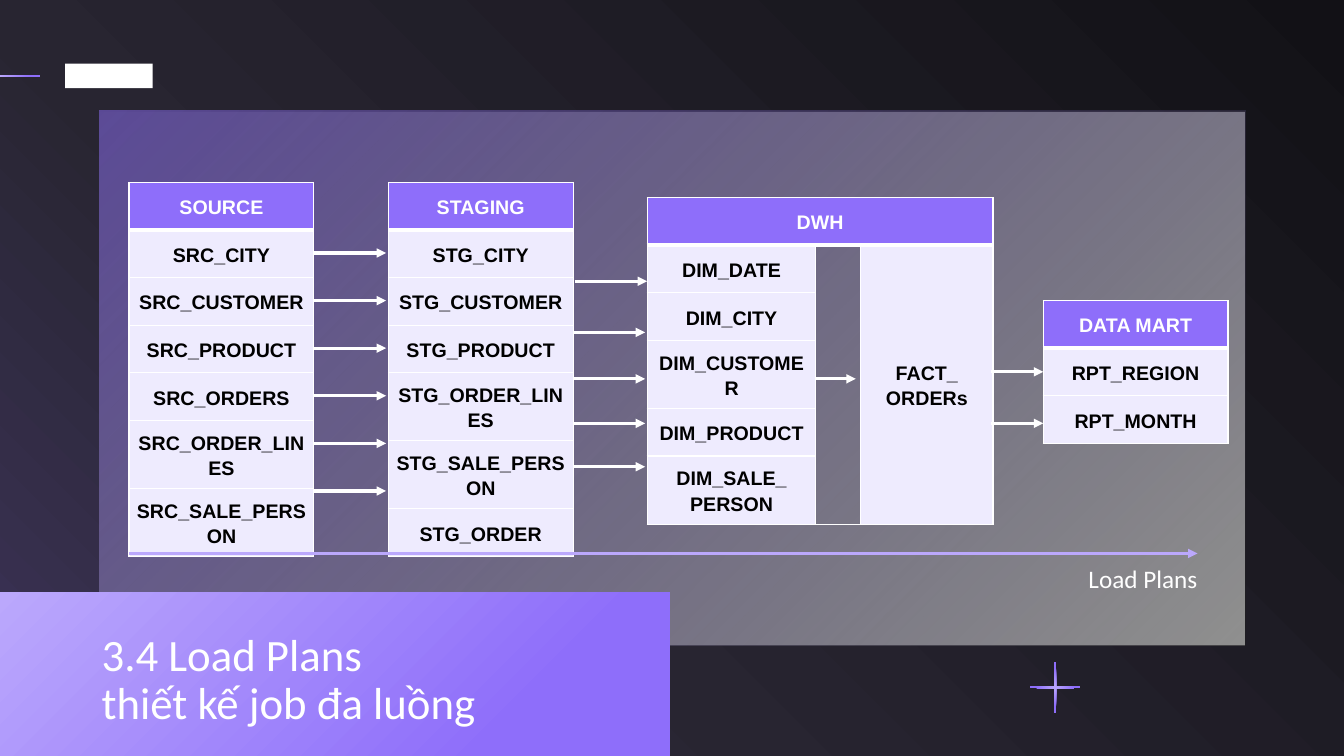
import pptx
import pptx.dml.color
import pptx.enum.shapes
import pptx.enum.text
import pptx.oxml.ns
import pptx.util
from lxml import etree

Pt = pptx.util.Pt
qn = pptx.oxml.ns.qn

COLORS = {
    "white": "FFFFFF", "black": "000000", "purple": "8E6EFA", "lilac": "BBA8FC",
    "pale": "EEEBFE", "violet": "5C4B97", "grey": "202020",
    "night_glow": "3C3359", "night_mid": "282531", "night": "121116",
}
ACCENT = [(0, "lilac", 100), (77, "purple", 100)]
ROW_HEIGHT = 34


def rgb(name):
    return pptx.dml.color.RGBColor.from_string(COLORS[name])


def add(parent, tag, **attributes):
    return etree.SubElement(parent, qn(tag), {k: str(v) for k, v in attributes.items()})


def add_color(parent, name):
    return add(parent, "a:srgbClr", val=COLORS[name])


def set_gradient(owner, fill, stops, angle=0, focus=None):
    """Fill with (position, colour, opacity) stops; focus is l, t, r, b in percent."""
    fill.gradient()
    grad = next(owner.iter(qn("a:gradFill")))
    grad.clear()
    stop_list = add(grad, "a:gsLst")
    for position, name, opacity in stops:
        color = add_color(add(stop_list, "a:gs", pos=position * 1000), name)
        if opacity < 100:
            add(color, "a:alpha", val=opacity * 1000)
    if focus:
        shade = add(grad, "a:path", path="circle")
        add(shade, "a:fillToRect", **{k: v * 1000 for k, v in zip("ltrb", focus)})
    else:
        add(grad, "a:lin", ang=angle * 60000, scaled=0)


class Deck:
    font = "Calibri"
    table_font = "Arial"
    table_size = 14
    arrow_width = 2.25

    def __init__(self):
        self.prs = pptx.Presentation()
        self.prs.slide_width, self.prs.slide_height = Pt(960), Pt(540)
        self.s = self.prs.slides.add_slide(self.prs.slide_layouts[6])

    def background(self, stops, focus):
        set_gradient(self.s.element, self.s.background.fill, stops, focus=focus)

    def rect(self, x, y, w, h, color=None, stops=None, angle=0, focus=None):
        sp = self.s.shapes.add_shape(
            pptx.enum.shapes.MSO_SHAPE.RECTANGLE, Pt(x), Pt(y), Pt(w), Pt(h))
        sp.shadow.inherit = False
        sp.line.fill.background()
        if stops:
            set_gradient(sp.element, sp.fill, stops, angle, focus)
        else:
            sp.fill.solid()
            sp.fill.fore_color.rgb = rgb(color)

    def style_runs(self, p, font, size, color, bold=False):
        for r in p.runs:
            r.font.name, r.font.size, r.font.bold = font, Pt(size), bold
            r.font.color.rgb = rgb(color)
        for line_break in p._p.findall(qn("a:br")):
            add(line_break, "a:rPr", sz=size * 100)

    def text(self, x, y, w, h, text, size):
        tf = self.s.shapes.add_textbox(Pt(x), Pt(y), Pt(w), Pt(h)).text_frame
        tf.word_wrap = True
        tf.text = text
        for p in tf.paragraphs:
            p.line_spacing = 0.9
            self.style_runs(p, self.font, size, "white")

    def arrow(self, x1, x2, y, color="white"):
        line = self.s.shapes.add_connector(
            pptx.enum.shapes.MSO_CONNECTOR.STRAIGHT, Pt(x1), Pt(y), Pt(x2), Pt(y))
        line.line.color.rgb = rgb(color)
        line.line.width = Pt(self.arrow_width)
        add(line.line._get_or_add_ln(), "a:tailEnd", type="triangle")
        add(line._element.spPr, "a:effectLst")

    def borders(self, cell, row):
        widths = {"L": 1, "R": 1, "T": 3 if row == 1 else 1, "B": 3 if row == 0 else 1}
        tcPr = cell._tc.get_or_add_tcPr()
        for i, (side, width) in enumerate(widths.items()):
            ln = add(tcPr, "a:ln" + side, w=Pt(width))
            add_color(add(ln, "a:solidFill"), "white")
            tcPr.insert(i, ln)

    def cell(self, cell, row, text):
        """Style one cell; an empty text below the header leaves it see-through."""
        if text or row == 0:
            cell.fill.solid()
            cell.fill.fore_color.rgb = rgb("pale" if row else "purple")
        else:
            cell.fill.background()
        self.borders(cell, row)
        cell.vertical_anchor = pptx.enum.text.MSO_ANCHOR.MIDDLE
        cell.margin_left = cell.margin_right = Pt(5)
        cell.margin_top = cell.margin_bottom = Pt(5)
        cell.text_frame.text = text
        p = cell.text_frame.paragraphs[0]
        p.alignment = pptx.enum.text.PP_ALIGN.CENTER
        p.line_spacing = 1.15
        p.space_before = p.space_after = Pt(12)
        self.style_runs(p, self.table_font, self.table_size, "black" if row else "white", True)

    def table(self, x, y, widths, rows, merges=()):
        frame = self.s.shapes.add_table(
            len(rows), len(widths), Pt(x), Pt(y), Pt(sum(widths)), Pt(ROW_HEIGHT * len(rows)))
        table = frame.table
        table.first_row = table.horz_banding = False
        for column, width in zip(table.columns, widths):
            column.width = Pt(width)
        for i, texts in enumerate(rows):
            table.rows[i].height = Pt(ROW_HEIGHT)
            for j, text in enumerate(texts):
                self.cell(table.cell(i, j), i, text)
        for first, last in merges:
            table.cell(*first).merge(table.cell(*last))


def main():
    deck = Deck()
    deck.background([(0, "night_glow", 100), (35, "night_mid", 100), (100, "night", 100)],
                    focus=(0, 100, 100, 0))
    deck.rect(46.5, 45.5, 62.5, 17.5, "white")
    deck.rect(0, 53.5, 28.5, 1.4, stops=ACCENT)
    deck.rect(70.8, 80, 818.5, 381, "white")
    deck.rect(70.8, 79.2, 818.5, 382, stops=[(0, "violet", 100), (100, "grey", 50)], angle=45)
    for x, y, w, h in [(753, 473, 1.5, 36), (735.75, 490.25, 36, 1.5)]:
        deck.rect(x, y, w, h, stops=ACCENT, focus=(50, 50, 50, 50))
    deck.rect(0, 423, 478.5, 117, stops=ACCENT, focus=(0, 0, 100, 100))
    deck.text(65.5, 448.5, 387.5, 77, "3.4 Load Plans\nthiết kế job đa luồng", 32)

    source = ["CITY", "CUSTOMER", "PRODUCT", "ORDERS", "ORDER_LINES", "SALE_PERSON"]
    staging = ["CITY", "CUSTOMER", "PRODUCT", "ORDER_LINES", "SALE_PERSON", "ORDER"]
    for x, header, prefix, names in [(92.2, "SOURCE", "SRC_", source),
                                     (277.4, "STAGING", "STG_", staging)]:
        deck.table(x, 130.3, [132], [[header]] + [[prefix + name] for name in names])
    deck.arrow(92.2, 855.4, 395.3, "lilac")
    for i in range(len(source)):
        deck.arrow(224, 275.8, 180.7 + i * ROW_HEIGHT)

    dimensions = ["DATE", "CITY", "CUSTOMER", "PRODUCT", "SALE_\vPERSON"]
    dwh = [["DWH", "", ""]] + [["DIM_" + name, "", ""] for name in dimensions]
    dwh[1][2] = "FACT_\vORDERs"
    deck.table(462.4, 141.2, [120.4, 32, 94.6], dwh,
               merges=[((0, 0), (0, 2)), ((1, 1), (5, 1)), ((1, 2), (5, 2))])
    deck.arrow(410.4, 462.2, 200.9)
    for y in (237.4, 270.6, 302.4, 333.4):
        deck.arrow(409, 460.8, y)
    deck.arrow(582.5, 611.3, 270.6)

    deck.text(770.4, 401, 106, 26.6, "Load Plans", 18)
    deck.table(745.2, 214.8, [132], [["DATA MART"], ["RPT_REGION"], ["RPT_MONTH"]])
    for y in (265.6, 302.4):
        deck.arrow(707.8, 745.2, y)
    deck.prs.save("out.pptx")


if __name__ == "__main__":
    main()
